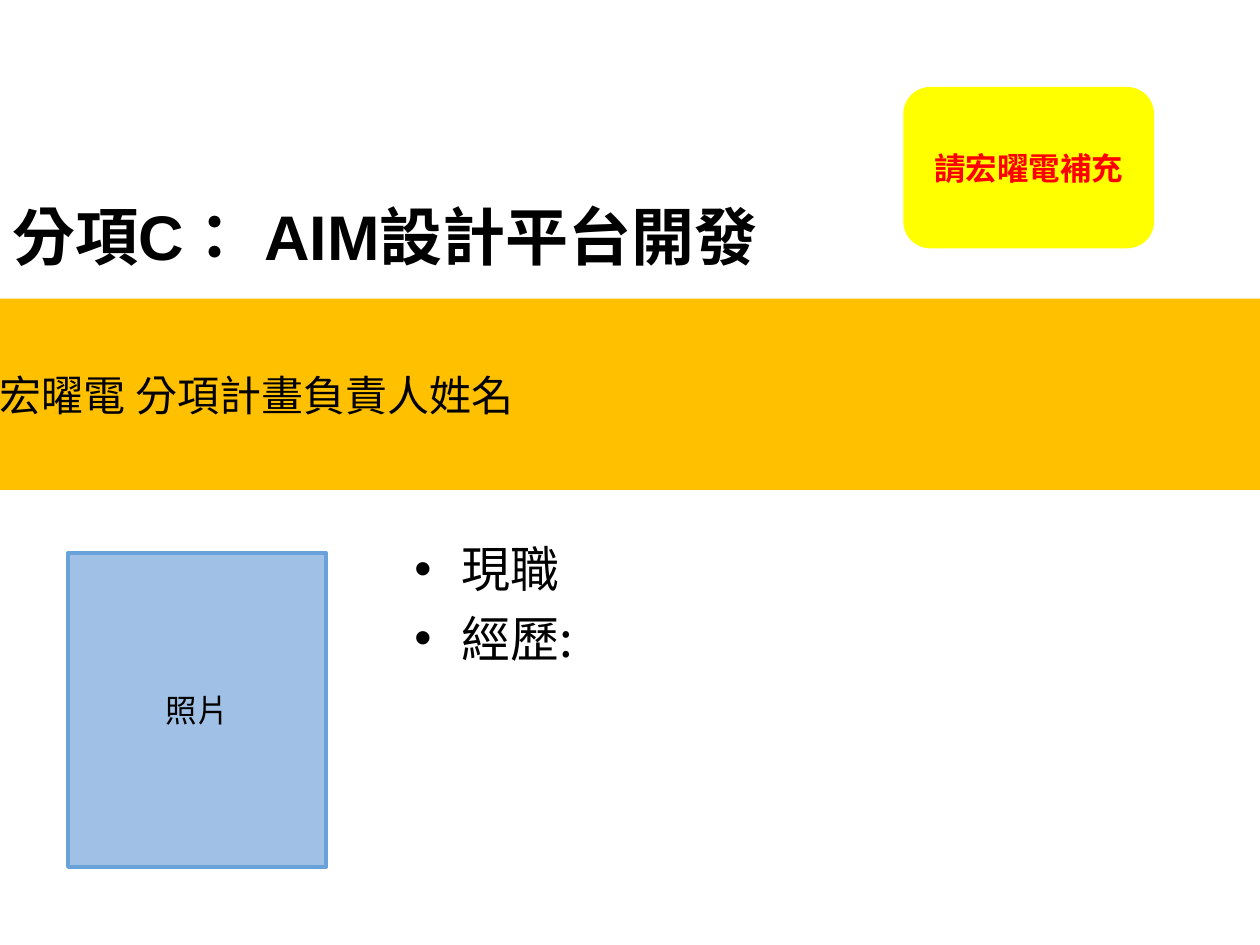
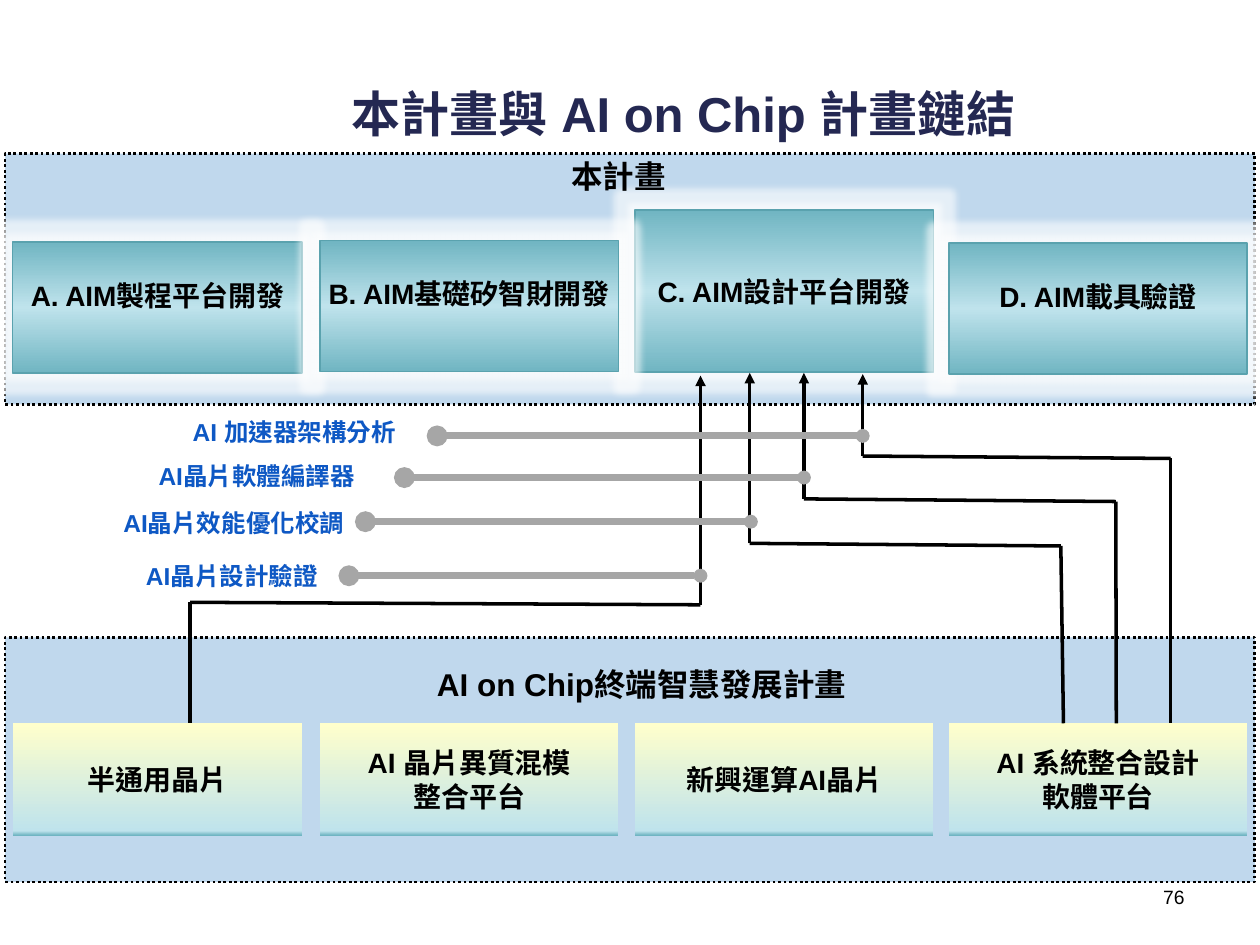
"""Build two slides: a sub-project opener and its links to the AI on Chip programme."""
from copy import deepcopy
from dataclasses import dataclass

from lxml import etree
from pptx import Presentation
from pptx import util as u
from pptx.dml.color import RGBColor
from pptx.enum import dml, shapes, text
from pptx.oxml.ns import qn


@dataclass(frozen=True)
class Theme:
    black: str = "000000"
    band: str = "FFC000"
    photo: str = "A0C0E5"
    photo_line: str = "69A2D8"
    note: str = "FFFF00"
    note_text: str = "FF0000"
    panel: str = "C0D8ED"
    heading: str = "242852"
    label: str = "0E58C4"
    link: str = "A6A6A6"
    module_line: str = "5AA2AE"
    glow: str = "FFFFFF"
    module_stops: tuple = ((0, "70B5C2"), (0.5, "BFE3EC"), (1, "70B5C2"))
    source_stops: tuple = ((0, "FFFFCC"), (0.96, "BFE3EC"), (1, "70B5C2"))
    font: str = "Arial"
    cjk_font: str = "Noto Sans CJK SC"
    body_font: str = "Noto Sans CJK TC"
    cover: int = 36
    title: int = 28
    band_size: int = 24
    section: int = 18
    box: int = 16
    label_size: int = 14
    number: int = 11


theme = Theme()
LEFT, CENTER, RIGHT = text.PP_ALIGN.LEFT, text.PP_ALIGN.CENTER, text.PP_ALIGN.RIGHT


def write(shape, words, size, color=theme.black, bold=True, align=LEFT,
          font=theme.font, insets=(7.2, 3.6, 7.2, 3.6), middle=False):
    frame = shape.text_frame
    frame.word_wrap = True
    frame.margin_left, frame.margin_top, frame.margin_right, frame.margin_bottom = map(u.Pt, insets)
    frame.vertical_anchor = text.MSO_ANCHOR.MIDDLE if middle else text.MSO_ANCHOR.TOP
    frame.text = words
    for paragraph in frame.paragraphs:
        paragraph.alignment = align
        for run in paragraph.runs:
            run.font.name = font
            run.font.size = u.Pt(size)
            run.font.bold = bold
            run.font.color.rgb = RGBColor.from_string(color)
            properties = run.font._element
            properties.set("lang", "zh-TW")
            east_asian = etree.Element(qn("a:ea"), typeface=font)
            properties.find(qn("a:latin")).addnext(east_asian)


def connect(slide, start, end, color, width, head=None, tail=None):
    line = slide.shapes.add_connector(
        shapes.MSO_CONNECTOR.STRAIGHT, *map(u.Pt, (*start, *end)))
    line.line.color.rgb = RGBColor.from_string(color)
    line.line.width = u.Pt(width)
    outline = line.line._get_or_add_ln()
    for tag, ending in (("a:headEnd", head), ("a:tailEnd", tail)):
        if ending:
            kind, scale = ending
            etree.SubElement(outline, qn(tag), type=kind, w=scale, len=scale)
    etree.SubElement(line._element.spPr, qn("a:effectLst"))


presentation = Presentation()
presentation.slide_width, presentation.slide_height = u.Pt(720), u.Pt(540)
blank = presentation.slide_layouts[6]

opener = presentation.slides.add_slide(blank)
RECTANGLE = shapes.MSO_SHAPE.RECTANGLE
ROUNDED = shapes.MSO_SHAPE.ROUNDED_RECTANGLE
opener_boxes = [
    (RECTANGLE, (0, 170.6, 720, 109.4), theme.band, None, "宏曜電 分項計畫負責人姓名",
     dict(size=theme.band_size, bold=False, font=theme.cjk_font)),
    (RECTANGLE, (38.9, 316.1, 147.6, 179.3), theme.photo, theme.photo_line, "照片",
     dict(size=theme.section, bold=False, align=CENTER, font=theme.cjk_font)),
    (ROUNDED, (516.2, 49.7, 143.3, 92.2), theme.note, None, "請宏曜電補充",
     dict(size=theme.section, color=theme.note_text, align=CENTER)),
]
for kind, place, fill, line, words, style in opener_boxes:
    shape = opener.shapes.add_shape(kind, *map(u.Pt, place))
    shape.shadow.inherit = False
    shape.fill.solid()
    shape.fill.fore_color.rgb = RGBColor.from_string(fill)
    if line:
        shape.line.color.rgb = RGBColor.from_string(line)
        shape.line.width = u.Pt(2.25)
    else:
        shape.line.fill.background()
    write(shape, words, insets=(0, 0, 0, 0), middle=True, **style)

cover_title = opener.shapes.add_textbox(*map(u.Pt, (0, 109.4, 494.6, 51.1)))
write(cover_title, "分項C： AIM設計平台開發", theme.cover)

resume = opener.shapes.add_textbox(*map(u.Pt, (229.7, 301, 484.6, 173.5)))
write(resume, "現職\n經歷:", theme.title, bold=False, font=theme.body_font,
      insets=(7.2, 6.6, 7.2, 3.6))
for index, paragraph in enumerate(resume.text_frame.paragraphs):
    paragraph.line_spacing = u.Pt(34)
    if index:
        paragraph.space_before = u.Pt(5.6)
    properties = paragraph._p.get_or_add_pPr()
    properties.set("marL", str(u.Pt(27)))
    properties.set("indent", str(-u.Pt(27)))
    etree.SubElement(properties, qn("a:buFont"), typeface=theme.font)
    etree.SubElement(properties, qn("a:buChar"), char="•")

links = presentation.slides.add_slide(blank)
for top, height in ((87.8, 143.3), (364.3, 139.7)):
    panel = links.shapes.add_shape(RECTANGLE, *map(u.Pt, (2.9, top, 714.2, height)))
    panel.shadow.inherit = False
    panel.fill.solid()
    panel.fill.fore_color.rgb = RGBColor.from_string(theme.panel)
    panel.line.color.rgb = RGBColor.from_string(theme.black)
    panel.line.width = u.Pt(1.56)
    panel.line.dash_style = dml.MSO_LINE.ROUND_DOT

columns = [(7.2, 165.6), (182.9, 170.6), (362.9, 170.6), (542.2, 170.6)]
modules = [
    ("A. AIM製程平台開發", 138.2, 74.9, 17),
    ("B. AIM基礎矽智財開發", 137.5, 74.9, 17),
    ("C. AIM設計平台開發", 120.2, 92.2, 2.9),
    ("D. AIM載具驗證", 139, 74.9, 17),
]
sources = ["半通用晶片", "AI 晶片異質混模\n整合平台", "新興運算AI晶片", "AI 系統整合設計\n軟體平台"]
cells = [(column, *module, True) for column, module in zip(columns, modules)]
cells.insert(0, cells.pop(2))
cells += [(column, words, 413.3, 64.1, 0, False) for column, words in zip(columns, sources)]
for (left, width), words, top, height, bottom_inset, is_module in cells:
    cell = links.shapes.add_shape(RECTANGLE, *map(u.Pt, (left, top, width, height)))
    cell.shadow.inherit = False
    cell.fill.gradient()
    cell.fill.gradient_angle = 270
    stop_list = cell._element.spPr.find(".//" + qn("a:gsLst"))
    stop_list.append(deepcopy(stop_list[-1]))
    colors = theme.module_stops if is_module else theme.source_stops
    for stop, (position, color) in zip(cell.fill.gradient_stops, colors):
        stop.position = position
        stop.color.rgb = RGBColor.from_string(color)
    side_inset = 2.9 if is_module else 0
    if is_module:
        cell.line.color.rgb = RGBColor.from_string(theme.module_line)
        cell.line.width = u.Pt(1)
        effects = cell._element.spPr.find(qn("a:effectLst"))
        glow = etree.SubElement(effects, qn("a:glow"), rad=str(u.Pt(8)))
        glow_color = etree.SubElement(glow, qn("a:srgbClr"), val=theme.glow)
        etree.SubElement(glow_color, qn("a:alpha"), val="60000")
    else:
        cell.line.fill.background()
    write(cell, words, theme.box, align=CENTER, middle=True,
          insets=(side_inset, side_inset, side_inset, bottom_inset))

routes = [
    ((428.4, 213.1), 310.5, (606.2, 312), 607.7),
    ((459.4, 213.1), 285.1, (637.6, 286.6), 637.9),
    ((493, 213.8), 260.6, (668.9, 262), 668.9),
    ((400.3, 214.6), 345.6, (108.7, 344.2), 108.7),
]
for tip, bend, corner, foot in routes:
    elbow = (tip[0], bend)
    connect(links, elbow, tip, theme.black, 2, tail=("triangle", "med"))
    connect(links, elbow, corner, theme.black, 2)
    connect(links, corner, (foot, 413.3), theme.black, 2)

topics = [
    ("AI 加速器架構分析", 103, 234.7, 249.8, 493, 249.1),
    ("AI晶片軟體編譯器", 83.5, 259.9, 231.1, 459.4, 272.9),
    ("AI晶片效能優化校調", 63.4, 286.6, 208.8, 429.1, 298.1),
    ("AI晶片設計驗證", 76.3, 316.8, 199.4, 400.3, 329),
]
for words, left, top, start, end, level in topics:
    connect(links, (start, level), (end, level), theme.link, 4,
            head=("oval", "med"), tail=("oval", "sm"))
    label = links.shapes.add_textbox(*map(u.Pt, (left, top, 170, 24.5)))
    write(label, words, theme.label_size, theme.label)

captions = [
    ("本計畫與 AI on Chip 計畫鏈結", (97.2, 43.9, 586.8, 44.6),
     dict(size=theme.title, color=theme.heading, align=CENTER)),
    ("本計畫", (205.9, 86.4, 295.2, 28.8), dict(size=theme.section, align=CENTER)),
    ("AI on Chip終端智慧發展計畫", (242.6, 376.6, 295.2, 28.8), dict(size=theme.section)),
    ("76", (516.2, 502.6, 167.8, 26.6), dict(size=theme.number, bold=False, align=RIGHT)),
]
for words, place, style in captions:
    caption = links.shapes.add_textbox(*map(u.Pt, place))
    write(caption, words, **style)

presentation.save("out.pptx")
